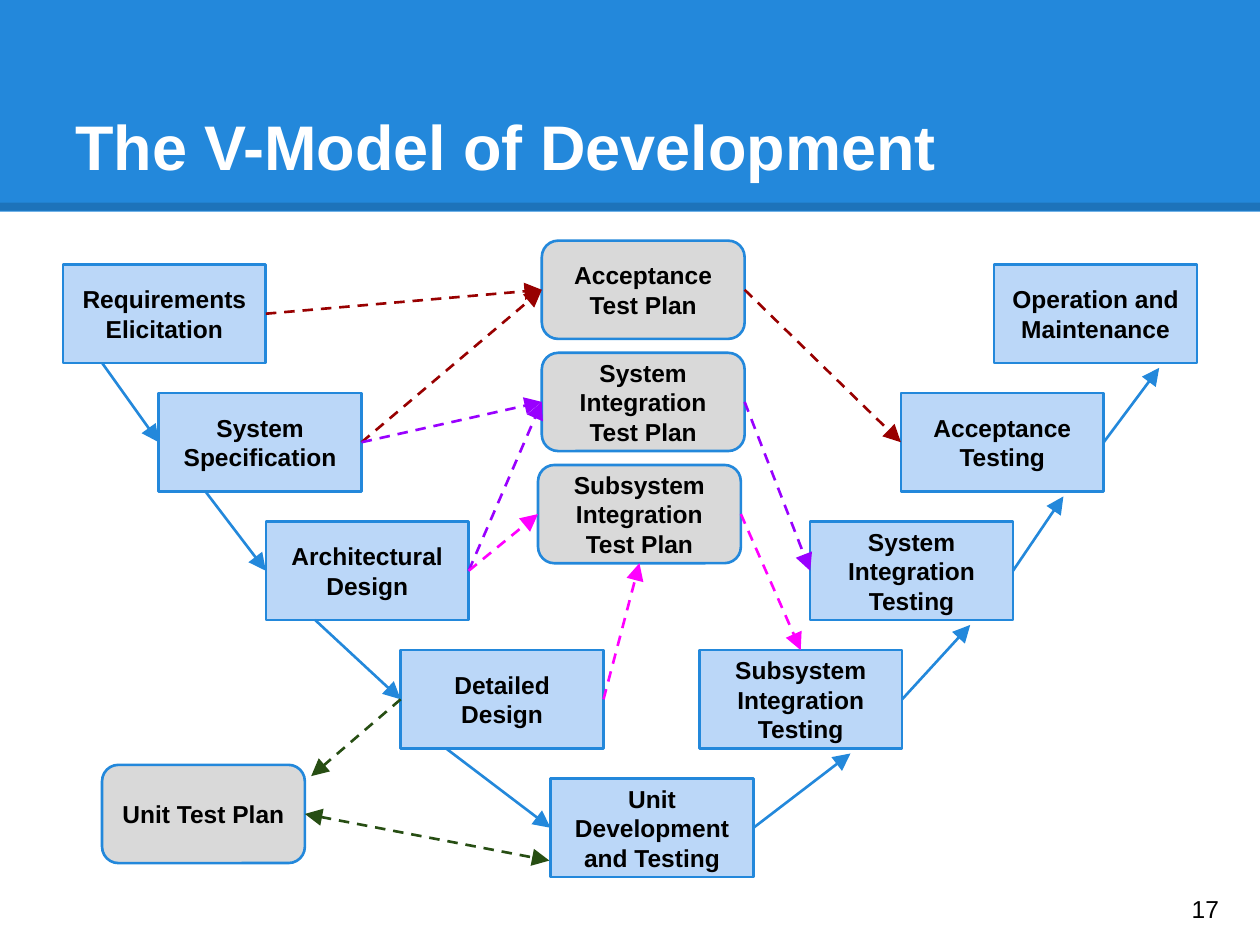
from dataclasses import dataclass
from typing import Optional

from lxml.etree import SubElement
from pptx import Presentation
from pptx.dml.color import RGBColor
from pptx.enum.dml import MSO_LINE_DASH_STYLE as Dash
from pptx.enum.shapes import MSO_CONNECTOR as Conn, MSO_SHAPE as Shape
from pptx.enum.text import MSO_ANCHOR as Anchor, PP_ALIGN as Align
from pptx.oxml.ns import qn
from pptx.util import Inches, Pt

COLS, ROWS, CELL = 100, 75, 0.1
BOX_W, BOX_H = 16.1, 7.8
STEP_TOP, STEP_PITCH = 21, 10.2
PLAN_TOP, PLAN_PITCH = 19.1, 8.9
LEFT, BOTTOM, RIGHT, TOP = 1, 2, 3, 0
BLUE, PALE, GREY = "2388DB", "BBD7F8", "D9D9D9"
RED, VIOLET, PINK, GREEN = "980000", "9900FF", "FF00FF", "274E13"
BLACK, WHITE = "000000", "FFFFFF"


@dataclass(frozen=True)
class Box:
    text: str
    col: float
    row: float
    plan: bool = False


@dataclass(frozen=True)
class End:
    """A side of a box, or an offset in cells from its top left corner."""
    box: str
    side: Optional[int] = None
    dx: float = 0
    dy: float = BOX_H


@dataclass(frozen=True)
class Arrow:
    start: End
    end: End
    color: str = BLUE
    both: bool = False


def step(text: str, col: float, level: int) -> Box:
    """Place a development step on a level of the V."""
    return Box(text, col, STEP_TOP + level * STEP_PITCH)


def plan(text: str, col: float, level: float) -> Box:
    """Place a test plan in the middle stack."""
    return Box(text, col, PLAN_TOP + level * PLAN_PITCH, True)


BOXES = {
    "req": step("Requirements Elicitation", 5, 0),
    "spec": step("System Specification", 12.6, 1),
    "arch": step("Architectural Design", 21.1, 2),
    "detail": step("Detailed Design", 31.8, 3),
    "unit": step("Unit Development and Testing", 43.7, 4),
    "sub": step("Subsystem Integration Testing", 55.5, 3),
    "sys": step("System Integration Testing", 64.3, 2),
    "accept": step("Acceptance Testing", 71.5, 1),
    "operate": step("Operation and Maintenance", 78.9, 0),
    "accept_plan": plan("Acceptance Test Plan", 43, 0),
    "sys_plan": plan("System Integration Test Plan", 43, 1),
    "sub_plan": plan("Subsystem Integration Test Plan", 42.7, 2),
    "unit_plan": Box("Unit Test Plan", 8.1, 60.7, True),
}

DOWN = [("req", "spec", 3.1), ("spec", "arch", 3.7),
        ("arch", "detail", 3.9), ("detail", "unit", 3.6)]
UP = [("unit", "sub", 12), ("sub", "sys", 12.7),
      ("sys", "accept", 12.9), ("accept", "operate", 13.1)]
PLANNING = [
    ("req", "accept_plan", LEFT, RED), ("spec", "accept_plan", LEFT, RED),
    ("spec", "sys_plan", LEFT, VIOLET), ("arch", "sys_plan", LEFT, VIOLET),
    ("arch", "sub_plan", LEFT, PINK), ("detail", "sub_plan", BOTTOM, PINK),
    ("accept_plan", "accept", LEFT, RED), ("sys_plan", "sys", LEFT, VIOLET),
    ("sub_plan", "sub", TOP, PINK),
]
ARROWS = (
    [Arrow(End(a, dx=dx), End(b, LEFT)) for a, b, dx in DOWN]
    + [Arrow(End(a, RIGHT), End(b, dx=dx, dy=8.2)) for a, b, dx in UP]
    + [Arrow(End(a, RIGHT), End(b, side), c) for a, b, side, c in PLANNING]
    + [Arrow(End("unit_plan", RIGHT), End("unit", dx=-0.1, dy=6.5), GREEN, True),
       Arrow(End("detail", LEFT), End("unit_plan", dx=16.6, dy=0.9), GREEN)]
)


def rgb(color: str) -> RGBColor:
    """Turn a hex string into a colour."""
    return RGBColor.from_string(color)


def cells(*values: float) -> list:
    """Turn grid cells into lengths."""
    return [Inches(v * CELL) for v in values]


def write(s, text: str, size: int, color: str, bold: bool, anchor, align) -> None:
    """Set the text of a shape."""
    tf = s.text_frame
    tf.text = text
    tf.word_wrap = True
    tf.vertical_anchor = anchor
    tf.margin_left = tf.margin_right = tf.margin_top = tf.margin_bottom = Inches(0.1)
    p = tf.paragraphs[0]
    p.alignment = align
    font = p.runs[0].font
    font.name, font.size, font.bold = "Arial", Pt(size), bold
    font.color.rgb = rgb(color)


def add_text(slide, at: tuple, text: str, size: int, color: str, bold: bool, anchor) -> None:
    """Add a left-aligned text box."""
    s = slide.shapes.add_textbox(*cells(*at))
    write(s, text, size, color, bold, anchor, Align.LEFT)


def add_box(slide, box: Box):
    """Draw a step or a test plan."""
    kind = Shape.ROUNDED_RECTANGLE if box.plan else Shape.RECTANGLE
    s = slide.shapes.add_shape(kind, *cells(box.col, box.row, BOX_W, BOX_H))
    s.shadow.inherit = False
    s.fill.solid()
    s.fill.fore_color.rgb = rgb(GREY if box.plan else PALE)
    s.line.color.rgb = rgb(BLUE)
    s.line.width = Pt(1.5)
    write(s, box.text, 14, BLACK, True, Anchor.MIDDLE, Align.CENTER)
    return s


def add_line(slide, start: list, end: list, color: str, width: float):
    """Draw a straight line without a shadow."""
    s = slide.shapes.add_connector(Conn.STRAIGHT, *start, *end)
    s.line.color.rgb = rgb(color)
    s.line.width = Pt(width)
    SubElement(s._element.spPr, qn("a:effectLst"))
    return s


def spot(end: End) -> list:
    """Find the point for an offset from a box."""
    box = BOXES[end.box]
    return cells(box.col + end.dx, box.row + end.dy)


def add_arrow(slide, arrow: Arrow, shapes: dict) -> None:
    """Draw an arrow and join it to the boxes it meets at a side."""
    s = add_line(slide, spot(arrow.start), spot(arrow.end), arrow.color, 1.5)
    if arrow.start.side is not None:
        s.begin_connect(shapes[arrow.start.box], arrow.start.side)
    if arrow.end.side is not None:
        s.end_connect(shapes[arrow.end.box], arrow.end.side)
    if arrow.color != BLUE:
        s.line.dash_style = Dash.DASH
    ln = s.line._get_or_add_ln()
    for tag in ["a:headEnd"] * arrow.both + ["a:tailEnd"]:
        SubElement(ln, qn(tag), type="triangle", w="lg", len="lg")


def add_banner(slide) -> None:
    """Draw the title band and its darker lower edge."""
    s = slide.shapes.add_shape(Shape.RECTANGLE, *cells(0, 0, COLS, 16.8))
    s.shadow.inherit = False
    s.fill.solid()
    s.fill.fore_color.rgb = rgb(BLUE)
    s.line.fill.background()
    edge = add_line(slide, cells(0, 16.4), cells(COLS, 16.4), BLACK, 4.5)
    tint = edge.line._get_or_add_ln().find(".//" + qn("a:srgbClr"))
    SubElement(tint, qn("a:alpha"), val="15000")


def main() -> None:
    """Build the slide."""
    prs = Presentation()
    prs.slide_width, prs.slide_height = cells(COLS, ROWS)
    slide = prs.slides.add_slide(prs.slide_layouts[6])
    add_banner(slide)
    add_text(slide, (5, 3, 90, 12.5), "The V-Model of Development", 36, WHITE, True, Anchor.BOTTOM)
    shapes = {name: add_box(slide, box) for name, box in BOXES.items()}
    for arrow in ARROWS:
        add_arrow(slide, arrow, shapes)
    add_text(slide, (93.6, 69.3, 6, 5.7), "17", 14, BLACK, False, Anchor.MIDDLE)
    prs.save("out.pptx")


if __name__ == "__main__":
    main()
